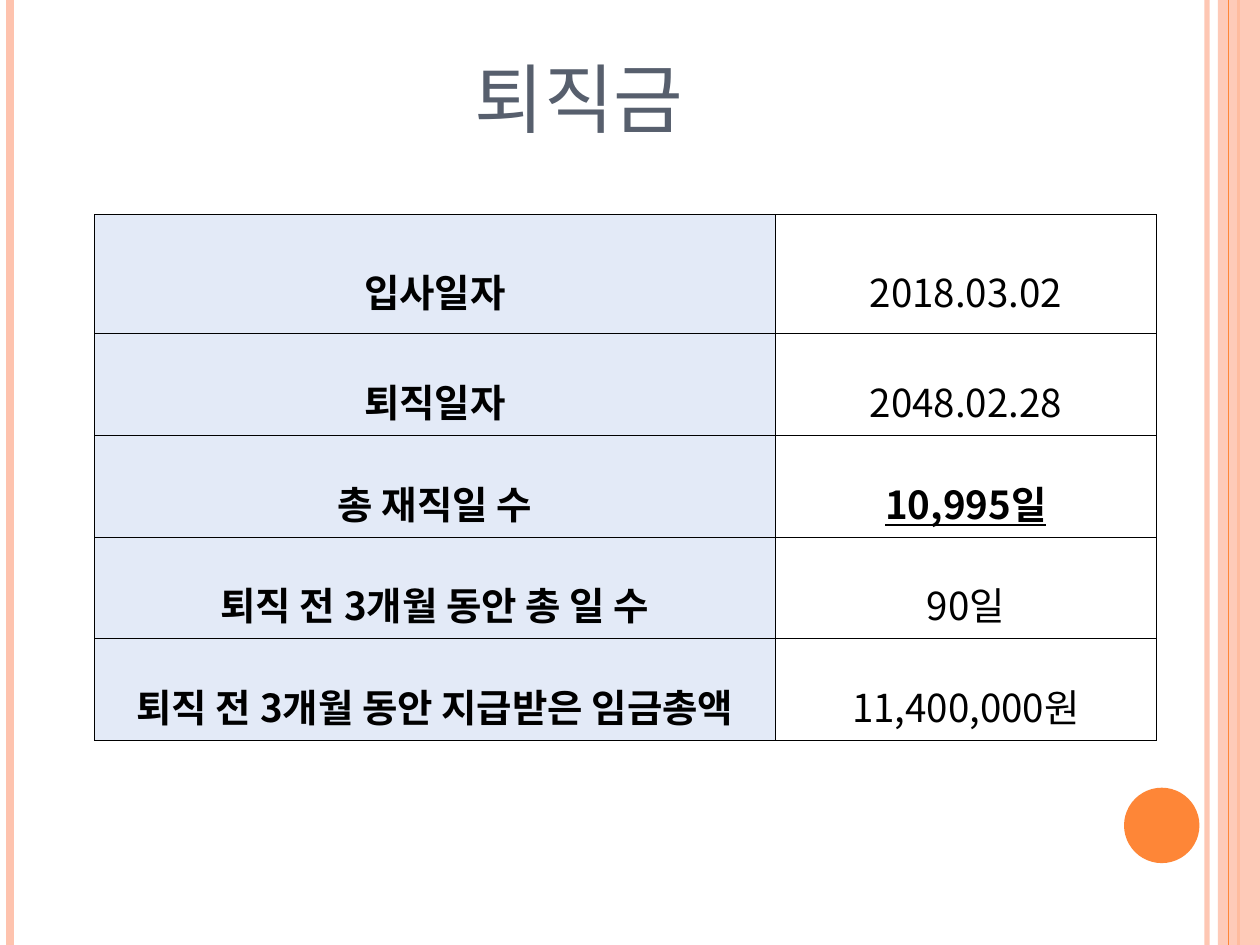
import pptx
import pptx.util
import pptx.dml.color
import pptx.enum.shapes
import pptx.enum.text
import pptx.oxml.ns
import lxml.etree

Cm = pptx.util.Cm
Pt = pptx.util.Pt
RGBColor = pptx.dml.color.RGBColor
qn = pptx.oxml.ns.qn

PEACH = RGBColor(0xFE, 0xC3, 0xAE)
ORANGE = RGBColor(0xFE, 0x86, 0x37)
SLATE = RGBColor(0x57, 0x5F, 0x6D)
PALE_BLUE = RGBColor(0xE3, 0xEA, 0xF7)
BLACK = RGBColor(0, 0, 0)
EAST_ASIAN = "Noto Sans CJK KR"


def write(tf, text, font=EAST_ASIAN, size=22, color=BLACK, bold=False,
          underline=False, spacing=None, small_caps=False):
    p = tf.paragraphs[0]
    p.alignment = pptx.enum.text.PP_ALIGN.CENTER
    if spacing:
        p.line_spacing = spacing
    r = p.add_run()
    r.text = text
    r.font.name = font
    r.font.size = Pt(size)
    r.font.color.rgb = color
    r.font.bold = bold
    r.font.underline = underline
    rPr = r.font._element
    rPr.find(qn("a:latin")).addnext(rPr.makeelement(qn("a:ea"), {"typeface": EAST_ASIAN}))
    if small_caps:
        rPr.set("cap", "small")


def set_alpha(sp, percent):
    for clr in sp._element.spPr.iter(qn("a:srgbClr")):
        lxml.etree.SubElement(clr, qn("a:alpha"), val=str(percent * 1000))


prs = pptx.Presentation()
prs.slide_width = Cm(25.4)
prs.slide_height = Cm(19.05)
s = prs.slides.add_slide(prs.slide_layouts[5])

stripes = [
    (24.33, PEACH, 3, 93),
    (0.21, PEACH, 4.5, 100),
    (24.97, ORANGE, 1.5, 100),
    (24.76, ORANGE, 0.75, 100),
]
for x, color, width, alpha in stripes:
    if width == 0.75:
        band = s.shapes.add_shape(pptx.enum.shapes.MSO_SHAPE.RECTANGLE,
                                  Cm(24.55), 0, Cm(0.85), prs.slide_height)
        band.shadow.inherit = False
        band.fill.solid()
        band.fill.fore_color.rgb = PEACH
        band.line.fill.background()
        set_alpha(band, 87)
    line = s.shapes.add_connector(pptx.enum.shapes.MSO_CONNECTOR.STRAIGHT,
                                  Cm(x), 0, Cm(x), prs.slide_height)
    line.line.color.rgb = color
    line.line.width = Pt(width)
    if alpha < 100:
        set_alpha(line, alpha)
    lxml.etree.SubElement(line._element.spPr, qn("a:effectLst"))

dot = s.shapes.add_shape(pptx.enum.shapes.MSO_SHAPE.OVAL,
                         Cm(22.66), Cm(15.88), Cm(1.52), Cm(1.52))
dot.shadow.inherit = False
dot.fill.solid()
dot.fill.fore_color.rgb = ORANGE
dot.line.fill.background()

title = s.shapes.title
title.left, title.top, title.width, title.height = Cm(1.3), Cm(0.91), Cm(20.75), Cm(2.16)
tf = title.text_frame
tf.auto_size = pptx.enum.text.MSO_AUTO_SIZE.NONE
tf.vertical_anchor = pptx.enum.text.MSO_ANCHOR.BOTTOM
write(tf, "퇴직금", font="Cambria", size=54, color=SLATE, small_caps=True)

rows = [
    ("입사일자", "2018.03.02"),
    ("퇴직일자", "2048.02.28"),
    ("총 재직일 수", "10,995일"),
    ("퇴직 전 3개월 동안 총 일 수", "90일"),
    ("퇴직 전 3개월 동안 지급받은 임금총액", "11,400,000원"),
]
table = s.shapes.add_table(len(rows), 2, Cm(1.9), Cm(4.32), Cm(21.41), Cm(10.4)).table
table.first_row = False
table.horz_banding = False
table.columns[0].width = Cm(13.73)
table.columns[1].width = Cm(7.68)

for i, row in enumerate(rows):
    table.rows[i].height = Cm(2.4 if i == 0 else 2)
    for j, text in enumerate(row):
        cell = table.cell(i, j)
        cell.vertical_anchor = pptx.enum.text.MSO_ANCHOR.MIDDLE
        tcPr = cell._tc.get_or_add_tcPr()
        for side in ("lnL", "lnR", "lnT", "lnB"):
            ln = lxml.etree.SubElement(tcPr, qn("a:" + side), w=str(Pt(0.28)))
            fill = lxml.etree.SubElement(ln, qn("a:solidFill"))
            lxml.etree.SubElement(fill, qn("a:srgbClr"), val=str(BLACK))
        if j == 0:
            cell.fill.solid()
            cell.fill.fore_color.rgb = PALE_BLUE
        else:
            cell.fill.background()
        is_total = text == "10,995일"
        write(cell.text_frame, text, bold=j == 0 or is_total,
              underline=is_total, spacing=1.6)

prs.save("out.pptx")
